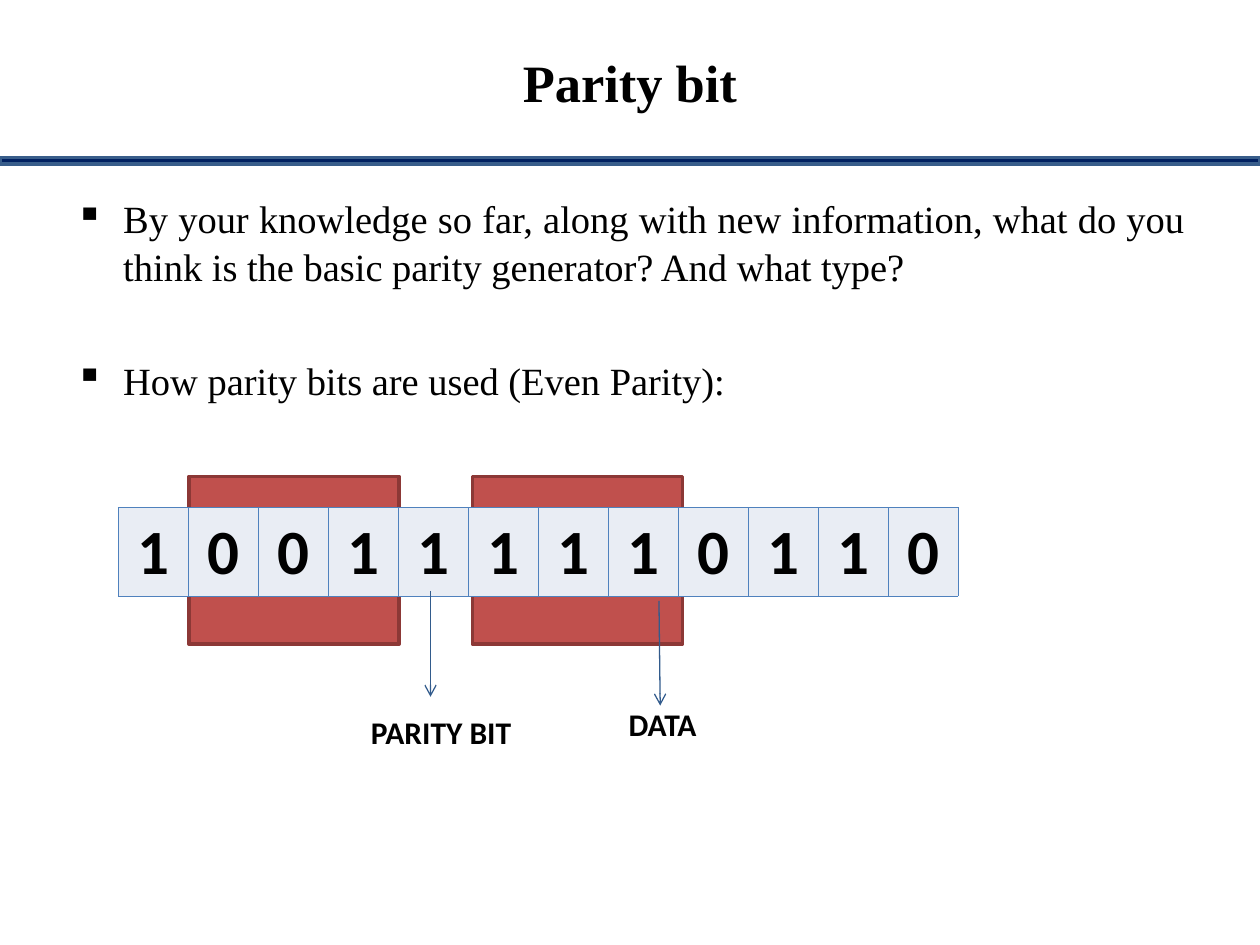
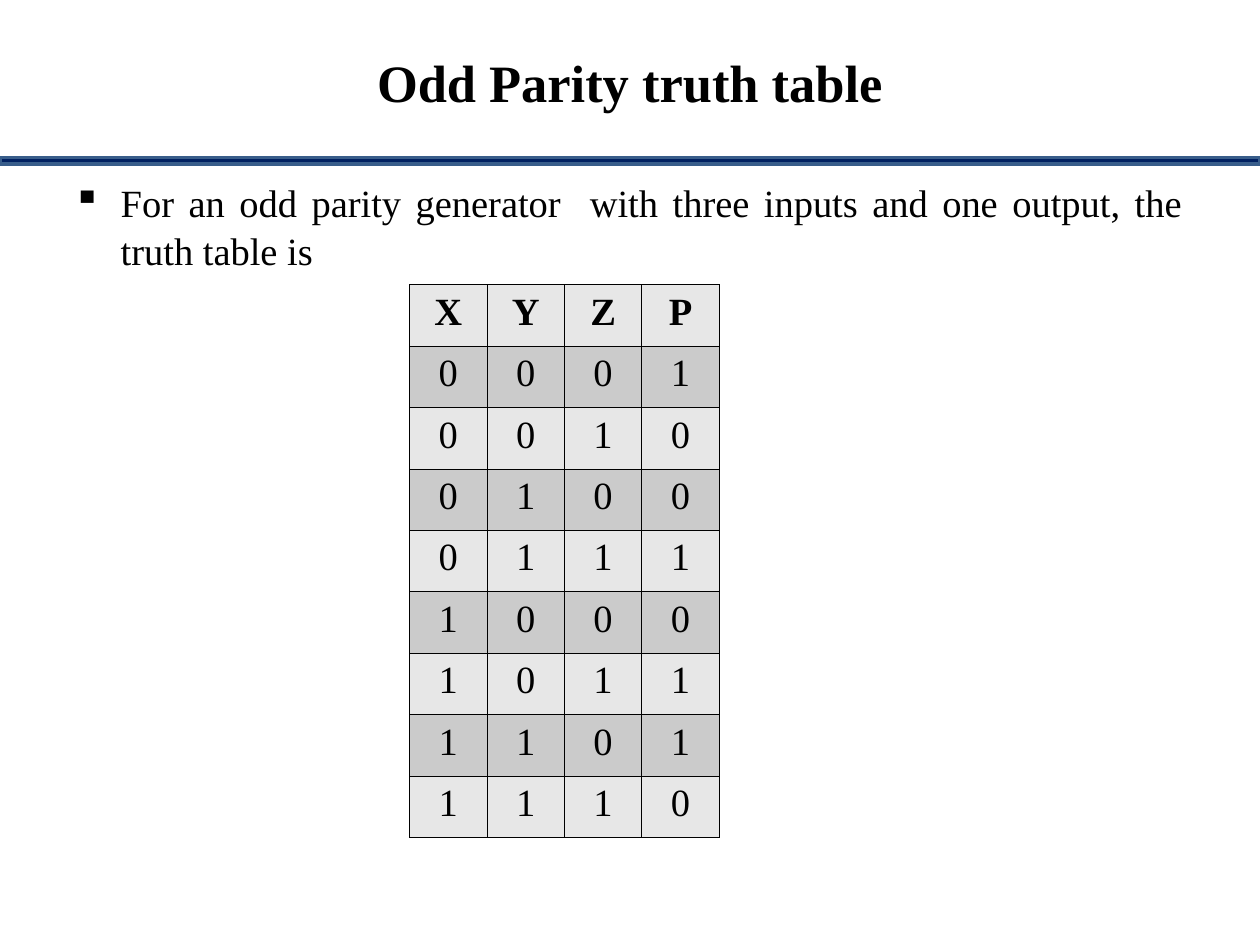
from itertools import product
from typing import NamedTuple, Sequence

from lxml.etree import SubElement
from pptx import Presentation
from pptx.dml.color import RGBColor
from pptx.enum.shapes import MSO_CONNECTOR, MSO_SHAPE
from pptx.enum.text import MSO_ANCHOR, MSO_AUTO_SIZE, PP_ALIGN
from pptx.oxml.ns import qn
from pptx.util import Inches, Pt

COLORS = {
    "text": "000000",
    "band": "002060",
    "band_edge": "385D8A",
    "data": "C0504D",
    "data_edge": "8C3836",
    "bit": "E9EDF4",
    "bit_edge": "4F81BD",
    "arrow": "325B8C",
    "row_light": "E7E7E7",
    "row_dark": "CBCBCB",
}
SERIF = "Times New Roman"
SANS = "Calibri"
SLIDE_WIDTH, SLIDE_HEIGHT = Inches(10), Inches(7.5)
COLUMNS, ROWS = 120, 90
TITLE_ONLY = 5


class Box(NamedTuple):
    column: float
    row: float
    columns: float
    rows: float

    def emu(self) -> tuple[int, int, int, int]:
        return (across(self.column), down(self.row),
                across(self.columns), down(self.rows))


class Block(NamedTuple):
    box: Box
    fill: str
    edge: str


class Label(NamedTuple):
    text: str
    box: Box


class Arrow(NamedTuple):
    start: tuple[float, float]
    end: tuple[float, float]


class BitGrid(NamedTuple):
    box: Box
    values: Sequence[Sequence[str]]
    fills: Sequence[str]
    edge: str
    font: str
    size: float
    bold_rows: int = 1


TITLE = Box(16, 4.2, 88, 7.2)
BAND = Block(Box(0, 15, COLUMNS, 0.6), "band", "band_edge")
DATA_BLOCKS = [Block(Box(column, 45.36, 20, 16), "data", "data_edge")
               for column in (18, 45)]
CODEWORD = BitGrid(Box(11.25, 48.36, 80, 8.4), ["100111110110"],
                   ["bit"], "bit_edge", SANS, 36)
LABELS = [Label("PARITY BIT", Box(31, 67.32, 22, 4.8)),
          Label("DATA", Box(52.1, 66.6, 22, 4.8))]
ARROWS = [Arrow((41, 56.28), (41, 66.36)),
          Arrow((62.76, 57.24), (62.88, 67.2))]
TRUTH_ROWS = [f"{x}{y}{z}{1 - (x ^ y ^ z)}"
              for x, y, z in product((0, 1), repeat=3)]
TRUTH_TABLE = BitGrid(Box(39, 27.12, 29.5, 52.65), ["XYZP", *TRUTH_ROWS],
                      ["row_light", "row_dark"], "text", SERIF, 22)


def across(columns: float) -> int:
    return round(SLIDE_WIDTH * columns / COLUMNS)


def down(rows: float) -> int:
    return round(SLIDE_HEIGHT * rows / ROWS)


def rgb(name: str) -> RGBColor:
    return RGBColor.from_string(COLORS[name])


def style(paragraph, font: str, size: float, bold: bool = False,
          align=PP_ALIGN.CENTER) -> None:
    paragraph.alignment = align
    paragraph.font.name = font
    paragraph.font.size = Pt(size)
    paragraph.font.bold = bold
    paragraph.font.color.rgb = rgb("text")


def draw_block(slide, block: Block) -> None:
    shape = slide.shapes.add_shape(MSO_SHAPE.RECTANGLE, *block.box.emu())
    shape.shadow.inherit = False
    shape.fill.solid()
    shape.fill.fore_color.rgb = rgb(block.fill)
    shape.line.color.rgb = rgb(block.edge)
    shape.line.width = Pt(2)


def start_slide(deck, heading: str):
    slide = deck.slides.add_slide(deck.slide_layouts[TITLE_ONLY])
    title = slide.shapes.title
    title.left, title.top, title.width, title.height = TITLE.emu()
    frame = title.text_frame
    frame.text = heading
    frame.auto_size = MSO_AUTO_SIZE.NONE
    frame.vertical_anchor = MSO_ANCHOR.MIDDLE
    style(frame.paragraphs[0], SERIF, 30, bold=True)
    draw_block(slide, BAND)
    return slide


def add_bullet(paragraph) -> None:
    properties = paragraph._p.get_or_add_pPr()
    properties.set("marL", str(Inches(0.38)))
    properties.set("indent", str(-Inches(0.38)))
    bullet_color = SubElement(properties, qn("a:buClr"))
    SubElement(bullet_color, qn("a:srgbClr"), val=COLORS["text"])
    SubElement(properties, qn("a:buChar"), char="▪")


def draw_bullets(slide, box: Box, points: Sequence[str]) -> None:
    frame = slide.shapes.add_textbox(*box.emu()).text_frame
    frame.word_wrap = True
    frame.text = "\n".join(points)
    for index, paragraph in enumerate(frame.paragraphs):
        add_bullet(paragraph)
        style(paragraph, SERIF, 22, align=PP_ALIGN.JUSTIFY)
        paragraph.line_spacing = 1.05
        if index:
            paragraph.space_before = Pt(37)


def draw_label(slide, label: Label) -> None:
    frame = slide.shapes.add_textbox(*label.box.emu()).text_frame
    frame.word_wrap = True
    frame.text = label.text
    style(frame.paragraphs[0], SANS, 18, bold=True)


def draw_arrow(slide, arrow: Arrow) -> None:
    (start_column, start_row), (end_column, end_row) = arrow
    connector = slide.shapes.add_connector(
        MSO_CONNECTOR.STRAIGHT, across(start_column), down(start_row),
        across(end_column), down(end_row))
    connector.line.color.rgb = rgb("arrow")
    connector.line.width = Pt(0.75)
    SubElement(connector.line._get_or_add_ln(), qn("a:tailEnd"), type="arrow")
    SubElement(connector._element.spPr, qn("a:effectLst"))


def add_borders(cell, color: str) -> None:
    properties = cell._tc.get_or_add_tcPr()
    for side in ("lnL", "lnR", "lnT", "lnB"):
        border = SubElement(properties, qn(f"a:{side}"), w=str(Pt(0.45)))
        fill = SubElement(border, qn("a:solidFill"))
        SubElement(fill, qn("a:srgbClr"), val=COLORS[color])


def draw_bit_grid(slide, grid: BitGrid) -> None:
    row_count, column_count = len(grid.values), len(grid.values[0])
    table = slide.shapes.add_table(
        row_count, column_count, *grid.box.emu()).table
    table.first_row = False
    table.horz_banding = False
    for column in table.columns:
        column.width = across(grid.box.columns / column_count)
    for row_index, values in enumerate(grid.values):
        table.rows[row_index].height = down(grid.box.rows / row_count)
        for column_index, value in enumerate(values):
            cell = table.cell(row_index, column_index)
            cell.text = value
            style(cell.text_frame.paragraphs[0], grid.font, grid.size,
                  bold=row_index < grid.bold_rows)
            add_borders(cell, grid.edge)
            cell.fill.solid()
            cell.fill.fore_color.rgb = rgb(
                grid.fills[row_index % len(grid.fills)])


def build_parity_bit(deck) -> None:
    slide = start_slide(deck, "Parity bit")
    draw_bullets(slide, Box(6, 17.76, 108, 24.5), [
        "By your knowledge so far, along with new information, what do you "
        "think is the basic parity generator? And what type?",
        "How parity bits are used (Even Parity):",
    ])
    for block in DATA_BLOCKS:
        draw_block(slide, block)
    draw_bit_grid(slide, CODEWORD)
    for label in LABELS:
        draw_label(slide, label)
    for arrow in ARROWS:
        draw_arrow(slide, arrow)


def build_truth_table(deck) -> None:
    slide = start_slide(deck, "Odd Parity truth table")
    draw_bullets(slide, Box(5.76, 16.2, 108, 22.2), [
        "For an odd parity generator  with three inputs and one output, "
        "the truth table is",
    ])
    draw_bit_grid(slide, TRUTH_TABLE)


def main() -> None:
    deck = Presentation()
    deck.slide_width, deck.slide_height = SLIDE_WIDTH, SLIDE_HEIGHT
    build_parity_bit(deck)
    build_truth_table(deck)
    deck.save("out.pptx")


if __name__ == "__main__":
    main()
